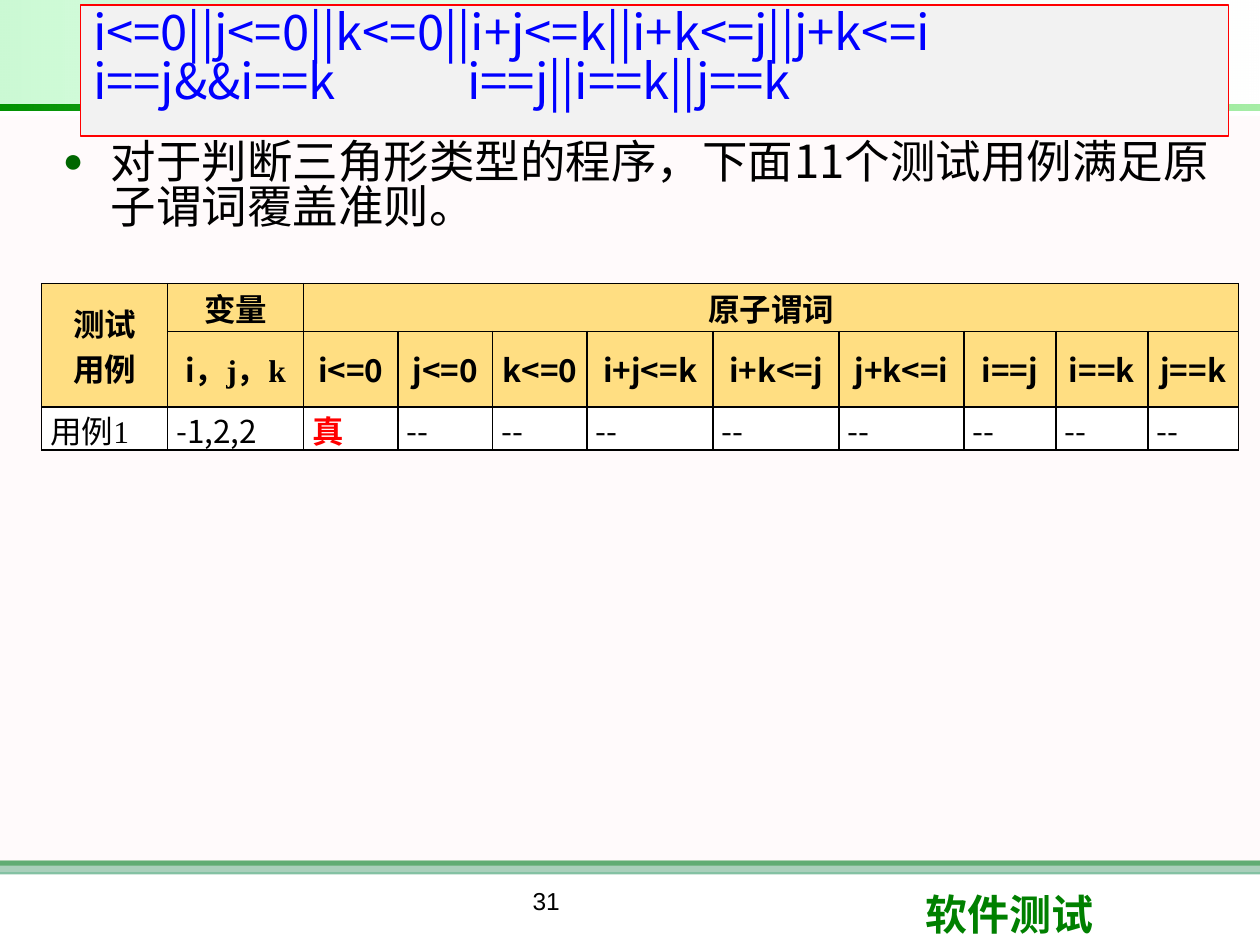
from dataclasses import dataclass

from lxml import etree
from pptx import Presentation
from pptx.dml.color import RGBColor
from pptx.enum.shapes import MSO_SHAPE
from pptx.enum.text import MSO_ANCHOR, MSO_AUTO_SIZE, PP_ALIGN
from pptx.oxml.ns import qn
from pptx.util import Inches, Pt

RECTANGLE = MSO_SHAPE.RECTANGLE
TOP, MIDDLE = MSO_ANCHOR.TOP, MSO_ANCHOR.MIDDLE
LEFT, CENTER, JUSTIFY = PP_ALIGN.LEFT, PP_ALIGN.CENTER, PP_ALIGN.JUSTIFY
FIT_SHAPE = MSO_AUTO_SIZE.SHAPE_TO_FIT_TEXT
GRID_COLUMNS, GRID_ROWS = 10, 7.5


@dataclass(frozen=True)
class Theme:
    black: str = "000000"
    white: str = "FFFFFF"
    red: str = "FF0000"
    blue: str = "0000FF"
    green: str = "008000"
    sea: str = "339966"
    blush: str = "FFF0F5"
    mint: str = "09E733"
    lime: str = "00CC00"
    forest: str = "009200"
    bullet: str = "006600"
    panel: str = "F2F2F2"
    header: str = "FFC000"
    header_opacity: int = 48
    sans: str = "Arial"
    serif: str = "Times New Roman"
    chinese: str = "Noto Sans CJK SC"
    code_size: int = 28
    body_size: int = 26
    footer_size: int = 24
    table_size: int = 18
    number_size: int = 14
    tight: float = 0.83


def add_element(parent, tag, **attributes):
    return etree.SubElement(parent, qn(tag), attributes)


def set_opacity(element, *percents):
    for color, percent in zip(element.iter(qn("a:srgbClr")), percents):
        add_element(color, "a:alpha", val=str(percent * 1000))


class SlideBuilder:
    def __init__(self, deck, theme):
        self.theme = theme
        self.column = deck.slide_width / GRID_COLUMNS
        self.row = deck.slide_height / GRID_ROWS
        self.page = deck.slides.add_slide(deck.slide_layouts[6])

    def place(self, left, top, width, height):
        return [round(value * unit) for value, unit in zip(
            (left, top, width, height), (self.column, self.row) * 2)]

    def add_span(self, para, text, *, size, font, color, bold=False, align=LEFT,
                 spacing=None):
        para.alignment = align
        if spacing:
            para.line_spacing = spacing
        span = para.add_run()
        span.text = text
        span.font.size = Pt(size)
        span.font.name = font
        span.font.bold = bold
        span.font.color.rgb = RGBColor.from_string(color)
        latin = span._r.get_or_add_rPr().find(qn("a:latin"))
        latin.addnext(etree.Element(qn("a:ea"), typeface=self.theme.chinese))

    def block(self, area, fill, opacity=100, line=None):
        shape = self.page.shapes.add_shape(RECTANGLE, *self.place(*area))
        shape.shadow.inherit = False
        shape.fill.solid()
        shape.fill.fore_color.rgb = RGBColor.from_string(fill)
        if opacity < 100:
            set_opacity(shape._element.spPr, opacity)
        if line:
            shape.line.color.rgb = RGBColor.from_string(line)
            shape.line.width = Pt(0.75)
        else:
            shape.line.fill.background()
        return shape

    def gradient(self, area, colors, opacities):
        shape = self.block(area, colors[0])
        shape.rotation = 180
        shape.fill.gradient()
        shape.fill.gradient_angle = 0
        for stop, color, position in zip(shape.fill.gradient_stops, colors, (0, 1)):
            stop.color.rgb = RGBColor.from_string(color)
            stop.position = position
        set_opacity(shape._element.spPr, *opacities)

    def text(self, area, text, **style):
        box = self.page.shapes.add_textbox(*self.place(*area))
        box.text_frame.word_wrap = True
        para = box.text_frame.paragraphs[0]
        self.add_span(para, text, **style)
        return para

    def bullet(self, area, text, **style):
        para = self.text(area, text, **style)
        para.space_after = Pt(6)
        props = para._p.get_or_add_pPr()
        props.set("marL", str(Inches(0.39)))
        props.set("indent", str(Inches(-0.38)))
        add_element(add_element(props, "a:buClr"), "a:srgbClr", val=self.theme.bullet)
        add_element(props, "a:buSzPct", val="75000")
        add_element(props, "a:buFont", typeface=self.theme.sans)
        add_element(props, "a:buChar", char="●")

    def code_panel(self, area, lines, tab, **style):
        shape = self.block(area, self.theme.panel, line=self.theme.red)
        frame = shape.text_frame
        frame.word_wrap = True
        frame.auto_size = FIT_SHAPE
        frame.vertical_anchor = TOP
        for index, line in enumerate(lines):
            para = frame.add_paragraph() if index else frame.paragraphs[0]
            self.add_span(para, line, **style)
            if "\t" in line:
                tabs = add_element(para._p.get_or_add_pPr(), "a:tabLst")
                add_element(tabs, "a:tab", pos=str(round(tab * self.column)), algn="l")

    def table(self, area, widths, heights):
        frame = self.page.shapes.add_table(len(heights), len(widths), *self.place(*area))
        table = frame.table
        table.first_row = table.horz_banding = False
        for column, width in zip(table.columns, widths):
            column.width = round(width * self.column)
        for index, height in enumerate(heights):
            table.rows[index].height = round(height * self.row)
            for cell in table.rows[index].cells:
                self.style_cell(cell, is_header=index < 2, margin=0 if index == 1 else 0.07)
        return table

    def style_cell(self, cell, is_header, margin):
        theme = self.theme
        cell.margin_left = cell.margin_right = Inches(margin)
        cell.margin_top = cell.margin_bottom = 0
        cell.vertical_anchor = MIDDLE if is_header else TOP
        cell.fill.solid()
        cell.fill.fore_color.rgb = RGBColor.from_string(
            theme.header if is_header else theme.white)
        props = cell._tc.get_or_add_tcPr()
        if is_header:
            set_opacity(props, theme.header_opacity)
        for index, side in enumerate("LRTB"):
            line = etree.Element(qn(f"a:ln{side}"), w=str(Pt(1)))
            add_element(add_element(line, "a:solidFill"), "a:srgbClr", val=theme.black)
            props.insert(index, line)

    def fill_cell(self, cell, *lines, **style):
        base = dict(size=self.theme.table_size, color=self.theme.black,
                    bold=True, align=CENTER)
        for index, spans in enumerate(lines):
            para = cell.text_frame.add_paragraph() if index else cell.text_frame.paragraphs[0]
            for text, font in spans:
                self.add_span(para, text, font=font, **{**base, **style})


def main():
    theme = Theme()
    deck = Presentation()
    deck.slide_width, deck.slide_height = Inches(10), Inches(7.5)
    slide = SlideBuilder(deck, theme)

    slide.block((0, 6.83, 10, 0.04), theme.green)
    slide.block((0, 6.83, 10, 0.11), theme.sea, 60)
    slide.block((0, 0.92, 10, 6), theme.blush, 30)
    slide.text((7.25, 7, 2.37, 0.5), "软件测试", size=theme.footer_size,
               font=theme.sans, color=theme.green, bold=True)
    slide.gradient((0, 0, 9.99, 0.83), (theme.white, theme.mint), (10, 21))
    slide.gradient((0, 0.83, 10, 0.05), (theme.lime, theme.forest), (35, 100))
    slide.bullet((0.39, 1.08, 9.36, 5.58),
                 "对于判断三角形类型的程序，下面11个测试用例满足原子谓词覆盖准则。",
                 size=theme.body_size, font=theme.chinese, color=theme.black,
                 spacing=theme.tight)
    slide.text((2.75, 6.98, 3.17, 0.52), "31", size=theme.number_size,
               font=theme.sans, color=theme.black, align=CENTER)

    predicates = ["i<=0", "j<=0", "k<=0", "i+j<=k", "i+k<=j", "j+k<=i",
                  "i==j", "i==k", "j==k"]
    widths = [1, 1.08] + [0.75] * 3 + [1, 1, 0.99, 0.73, 0.73, 0.72]
    table = slide.table((0.33, 2.25, 9.5, 1.12), widths, [0.38, 0.4, 0.34])
    table.cell(0, 0).merge(table.cell(1, 0))
    table.cell(0, 2).merge(table.cell(0, len(widths) - 1))
    slide.fill_cell(table.cell(0, 0), [("测试", theme.serif)], [("用例", theme.serif)])
    slide.fill_cell(table.cell(0, 1), [("变量", theme.serif)])
    slide.fill_cell(table.cell(0, 2), [("原子谓词", theme.serif)])
    slide.fill_cell(table.cell(1, 1), [("i", theme.chinese), ("，j，k", theme.serif)])
    plain = dict(bold=False, align=JUSTIFY)
    slide.fill_cell(table.cell(2, 0), [("用例1", theme.serif)], **plain)
    slide.fill_cell(table.cell(2, 1), [("-1,2,2", theme.chinese)], **plain)
    for column, predicate in enumerate(predicates, 2):
        slide.fill_cell(table.cell(1, column), [(predicate, theme.chinese)])
        if column > 2:
            slide.fill_cell(table.cell(2, column), [("--", theme.chinese)], **plain)
    slide.fill_cell(table.cell(2, 2), [("真", theme.serif)], color=theme.red, align=JUSTIFY)

    slide.code_panel((0.64, 0.04, 9.11, 1.04),
                     ["i<=0||j<=0||k<=0||i+j<=k||i+k<=j||j+k<=i",
                      "i==j&&i==k\ti==j||i==k||j==k"],
                     tab=2.97, size=theme.code_size, font=theme.chinese,
                     color=theme.blue, spacing=theme.tight)
    deck.save("out.pptx")


if __name__ == "__main__":
    main()
